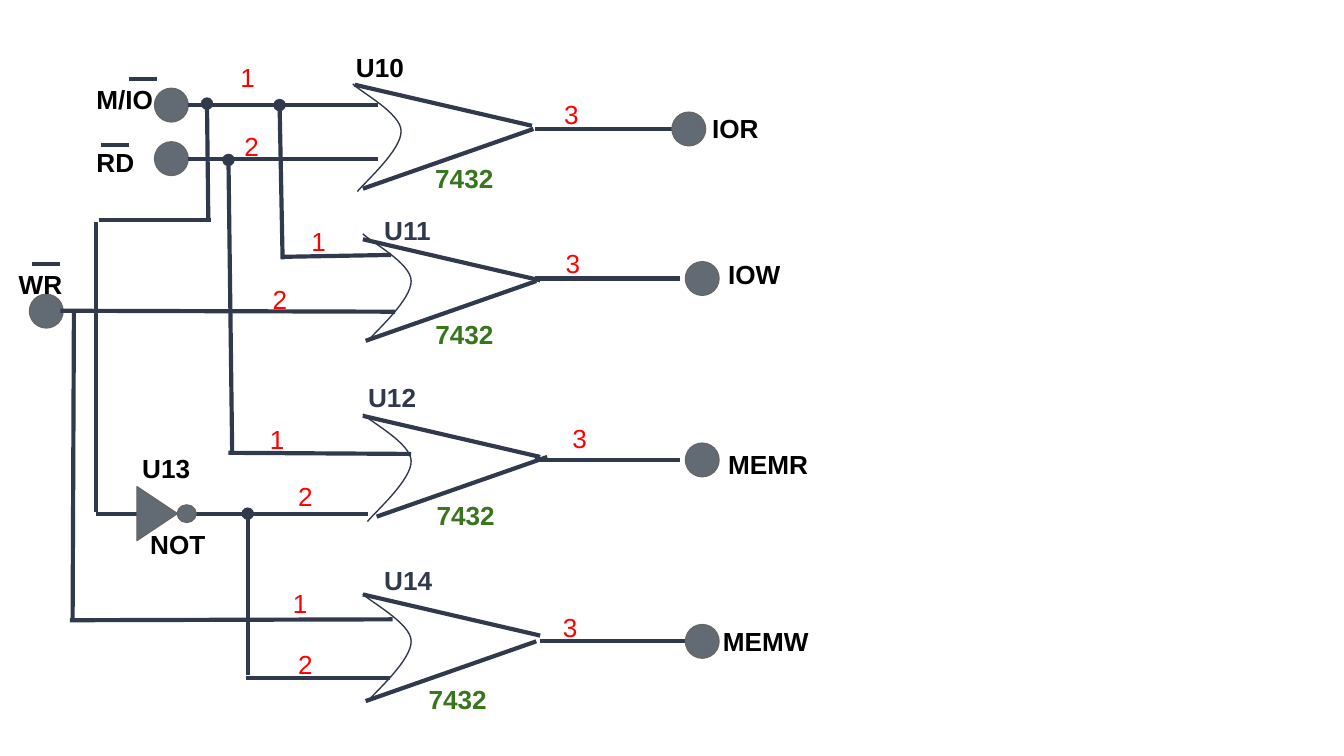
from pptx import Presentation
from pptx import util as u
from pptx.dml.color import RGBColor
from pptx.enum import shapes, text
from pptx.oxml import ns, xmlchemy

HUES = {"ink": "31394D", "node": "626B73", "rim": "666666", "white": "FFFFFF",
        "black": "000000", "pin": "FF0000", "part": "38761D"}
SHAPE = shapes.MSO_SHAPE


def hue(name):
    return RGBColor.from_string(HUES[name])


class Board:
    """Holds the circuit style and the slide being drawn; lengths in points."""

    font, size, inset = "Arial", 14, 7.2
    wide, thin, dot = 2.25, 0.75, 18

    def __init__(self, slide):
        self.items = slide.shapes

    def paint(self, item, fill, line):
        item.shadow.inherit = False
        item.fill.solid()
        item.fill.fore_color.rgb = hue(fill)
        item.line.color.rgb = hue(line)
        item.line.width = u.Pt(self.thin)

    def shape(self, kind, x, y, w, h):
        item = self.items.add_shape(kind, u.Pt(x), u.Pt(y), u.Pt(w), u.Pt(h))
        self.paint(item, "node", "rim")
        return item

    def port(self, x, y):
        """Terminal circle with its left edge at x and its centre at height y."""
        self.shape(SHAPE.FLOWCHART_CONNECTOR, x, y - self.dot / 2, self.dot, self.dot)

    def wire(self, x1, y1, x2, y2, end=None):
        """Straight wire; end is headEnd or tailEnd to mark a junction there."""
        item = self.items.add_connector(shapes.MSO_CONNECTOR.STRAIGHT,
                                        u.Pt(x1), u.Pt(y1), u.Pt(x2), u.Pt(y2))
        item.line.color.rgb = hue("ink")
        item.line.width = u.Pt(self.wide)
        props = item._element.spPr
        props.append(xmlchemy.OxmlElement("a:effectLst"))
        if end:
            mark = xmlchemy.OxmlElement("a:" + end)
            mark.set("type", "oval")
            props.find(ns.qn("a:ln")).append(mark)

    def curve(self, x, y):
        """Concave back of an OR gate: two Bezier arcs from the top left."""
        steps = [(4.3, 4.3), (25.9, 15.8), (25.9, 25.2),
                 (26.2, 35.3), (6.5, 52.6), (2.5, 57.6)]
        form = self.items.build_freeform(u.Pt(x), u.Pt(y))
        form.add_line_segments([(u.Pt(x + a), u.Pt(y + b)) for a, b in steps], close=False)
        item = form.convert_to_shape()
        self.paint(item, "white", "ink")
        track = item._element.find(".//" + ns.qn("a:path"))
        parts = track.findall(ns.qn("a:lnTo"))
        for k in (0, 3):
            arc = xmlchemy.OxmlElement("a:cubicBezTo")
            for part in parts[k:k + 3]:
                arc.append(part[0])
                track.remove(part)
            track.append(arc)

    def label(self, lines, x, y, w, h, color="black", bold=True, gap=0):
        """Text box with one paragraph per line, gap points between them."""
        box = self.items.add_textbox(u.Pt(x), u.Pt(y), u.Pt(w), u.Pt(h))
        frame = box.text_frame
        frame.word_wrap = True
        frame.vertical_anchor = text.MSO_ANCHOR.TOP
        frame.margin_left = frame.margin_right = u.Pt(self.inset)
        frame.margin_top = frame.margin_bottom = u.Pt(self.inset)
        for i, line in enumerate(lines.split("\n")):
            para = frame.add_paragraph() if i else frame.paragraphs[0]
            para.space_before = u.Pt(gap if i else 0)
            run = para.add_run()
            run.text = line
            run.font.name, run.font.size = self.font, u.Pt(self.size)
            run.font.bold = bold
            run.font.color.rgb = hue(color)

    def gate(self, back, top, low, out, port):
        """OR gate from the starts of its back, edges, output wire and port."""
        self.curve(*back)
        for (x, y), dx, dy in ((top, 95, 22), (low, -91.4, 32), (out, 77.8, 0)):
            self.wire(x, y, x + dx, y + dy)
        self.port(port, out[1])


GATES = [
    ((189, 45), (190, 45.4), (285.8, 69.1), (286.6, 69.1), 360),
    ((194.4, 125.3), (194.4, 128.2), (287.3, 150.6), (286.6, 149.2), 367.2),
    ((194.4, 221.8), (194.4, 222.8), (293.2, 244.8), (286.6, 246.4), 367.2),
    ((194.4, 318.3), (194.4, 318.5), (287.3, 343.6), (289.5, 343.6), 367.2),
]
PORTS = [(82.8, 56.3), (82.8, 85), (15.8, 166.7)]
WIRES = [
    (100.8, 56.3, 202.3, 56.3), (100.8, 85, 202.3, 85),
    (32.4, 166.5, 211.7, 167), (122.4, 242.6, 220.3, 243.2),
    (105.1, 275.2, 197.3, 275.2), (149.8, 56.3, 151.4, 139, "headEnd"),
    (151.4, 137.6, 209.5, 136.6), (37.4, 332.3, 210.3, 331.8),
    (124.4, 242.8, 122.4, 85.7, "tailEnd"), (38.9, 333, 39.6, 167),
    (132.7, 275.2, 132.7, 361.6, "headEnd"), (131.8, 363.2, 209, 363.2),
    (73.4, 275.2, 51.5, 275.2), (51.5, 274.3, 51.5, 119),
    (53, 117.8, 113, 117.8), (111.6, 118, 110.9, 55.5, "tailEnd"),
]
BARS = [(54, 77.6), (69.1, 42.3), (17.3, 141.3)]
NAMES = [
    ("U10", 183.6, 20.2, 80.6, 32.4), ("U11", 198.7, 107.7, 63.4, 22.3, "ink"),
    ("U12", 190.1, 197.3, 80.6, 18, "ink"), ("U14", 198.7, 295.4, 72.7, 23, "ink"),
    ("U13", 69.1, 235, 43.2, 27.4), ("NOT", 73.4, 276, 63.4, 23),
    ("IOR", 374.4, 52.8, 57.6, 32.4), ("IOW", 383, 131, 66.2, 18),
    ("MEMR", 383, 232.8, 63.4, 36), ("MEMW", 380.2, 327.9, 72.7, 32.4),
    ("WR", 2.9, 136.8, 47.5, 32.4),
]
PINS = [
    ("1", 121.7, 31.5, 25.9, 8.6), ("2", 123.8, 62.6, 22.3, 16.6),
    ("1", 159.8, 113.8, 25.9, 16.6), ("2", 139, 144.7, 63.4, 16.6),
    ("1", 137.5, 219.6, 25.9, 16.6), ("2", 152.6, 250, 43.2, 22.3),
    ("1", 149.8, 307.4, 32.4, 16.6), ("2", 152.6, 340.4, 66.2, 23),
    ("3", 295.2, 45.4, 47.5, 18), ("3", 295.9, 125.3, 47.5, 32.4),
    ("3", 299.5, 218.9, 57.6, 36), ("3", 294.5, 320.4, 52.6, 55.4),
]
PARTS = [(226.1, 79.9, 91.4, 16.6), (226.1, 163.4, 72.7, 27.4),
         (226.8, 260.2, 91.4, 23), (222.5, 358.9, 80.6, 27.4)]


def main():
    deck = Presentation()
    deck.slide_width, deck.slide_height = u.Pt(720), u.Pt(405)
    board = Board(deck.slides.add_slide(deck.slide_layouts[6]))
    for gate in GATES:
        board.gate(*gate)
    for port in PORTS:
        board.port(*port)
    for wire in WIRES:
        board.wire(*wire)
    for x, y in BARS:
        board.wire(x, y, x + 15.1, y)
    board.shape(SHAPE.ISOSCELES_TRIANGLE, 69.8, 264.4, 28.8, 21.6).rotation = 90
    board.shape(SHAPE.FLOWCHART_CONNECTOR, 95, 270.5, 10.1, 9.4)
    board.label("M/IO\nRD", 44.6, 37.4, 115.2, 87.1, gap=17)
    for name in NAMES:
        board.label(*name)
    for pin in PINS:
        board.label(*pin, color="pin", bold=False)
    for part in PARTS:
        board.label("7432", *part, color="part")
    deck.save("out.pptx")


if __name__ == "__main__":
    main()
